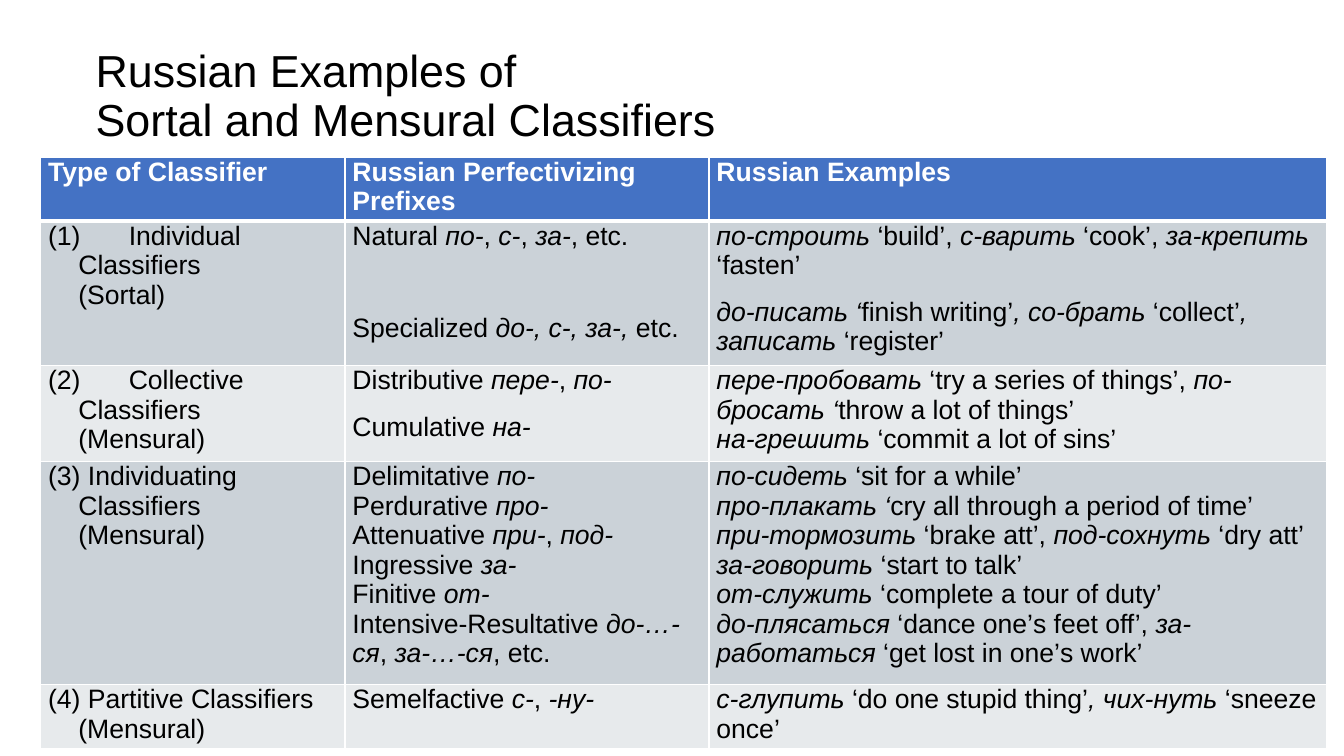
import pptx
import pptx.util
import pptx.dml.color
import pptx.enum.text
import pptx.oxml
import pptx.oxml.ns

Pt = pptx.util.Pt

HEADINGS = ["Type of Classifier", "Russian Perfectivizing Prefixes", "Russian Examples"]
CLASSIFIERS = [
    (["(1)\tIndividual Classifiers", "\t(Sortal)"],
     ["Natural *по-*, *с-*, *за-*, etc.", "Specialized *до-, с-, за-, *etc."],
     ["*по-строить *‘build’, *с-варить *‘cook’, *за-крепить* ‘fasten’",
      "*до-писать ‘*finish writing’*, со-брать *‘collect’*, записать *‘register’"]),
    (["(2)\tCollective Classifiers", "\t(Mensural)"],
     ["Distributive *пере-*, *по-*", "Cumulative *на-*"],
     ["*пере-пробовать *‘try a series of things’, *по-бросать ‘*throw a lot of things’\n"
      "*на-грешить *‘commit a lot of sins’"]),
    (["(3) Individuating Classifiers", "\t(Mensural)"],
     ["Delimitative *по-*\nPerdurative *про-*\nAttenuative *при-*, *под-*\n"
      "Ingressive *за-*\nFinitive *oт-*\n"
      "Intensive-Resultative *до-…-ся*, *за-…-ся*, etc."],
     ["*по-сидеть *‘sit for a while’ \n"
      "*про-плакать ‘*cry all through a period of time’\n"
      "*при-тормозить *‘brake att’, *под-сохнуть *‘dry att’\n"
      "*за-говорить *‘start to talk’ \n"
      "*от-служить *‘complete a tour of duty’\n"
      "*до-плясаться *‘dance one’s feet off’, *за-работаться *‘get lost in one’s work’"]),
    (["(4) Partitive Classifiers", "\t(Mensural)"],
     ["Semelfactive *с-*, *-ну-*"],
     ["*с-глупить *‘do one stupid thing’*, чих-нуть *‘sneeze once’"]),
]
COLUMN_WIDTHS = [217.4, 260, 441.4]
ROW_HEIGHTS = [42.6, 96.6, 63.5, 148, 42.5]
BANDS = ["CBD2D8", "E7EAEC"]


def colour(code):
    return pptx.dml.color.RGBColor.from_string(code)


def write(para, text, size=19, ink="000000", bold=False, before=0, after=0, hanging=0):
    para.space_before, para.space_after = Pt(before), Pt(after)
    if hanging:
        properties = para._p.get_or_add_pPr()
        properties.set("marL", str(Pt(hanging)))
        properties.set("indent", str(-Pt(hanging)))
    for number, line in enumerate(text.split("\n")):
        if number:
            para.add_line_break()
        for position, piece in enumerate(line.split("*")):
            if not piece:
                continue
            span = para.add_run()
            span.text = piece
            span.font.name = "Arial"
            span.font.size = Pt(size)
            span.font.bold = bold
            span.font.italic = position % 2 == 1
            span.font.color.rgb = colour(ink)


def add_title(page, text):
    box = page.shapes.add_textbox(Pt(61.2), Pt(26.6), Pt(788.4), Pt(86.4))
    box.text_frame.word_wrap = True
    box.text_frame.vertical_anchor = pptx.enum.text.MSO_ANCHOR.MIDDLE
    para = box.text_frame.paragraphs[0]
    para.line_spacing = 0.9
    write(para, text, size=32)


def set_borders(cell, top=1, bottom=1):
    properties = cell._tc.get_or_add_tcPr()
    for side, width in (("L", 1), ("R", 1), ("T", top), ("B", bottom)):
        properties.append(pptx.oxml.parse_xml(
            f'<a:ln{side} {pptx.oxml.ns.nsdecls("a")} w="{Pt(width)}">'
            f'<a:solidFill><a:srgbClr val="FFFFFF"/></a:solidFill></a:ln{side}>'))


def fill_cell(cell, fill, top=1, bottom=1):
    cell.margin_left = cell.margin_right = Pt(5.4)
    cell.margin_top = cell.margin_bottom = 0
    set_borders(cell, top, bottom)
    cell.fill.solid()
    cell.fill.fore_color.rgb = colour(fill)


def write_cell(cell, texts, formats):
    frame = cell.text_frame
    for number, text in enumerate(texts):
        para = frame.add_paragraph() if number else frame.paragraphs[0]
        write(para, text, **formats[number])


def add_classifier_table(page):
    table = page.shapes.add_table(
        len(ROW_HEIGHTS), len(COLUMN_WIDTHS), Pt(29), Pt(112.4),
        Pt(sum(COLUMN_WIDTHS)), Pt(sum(ROW_HEIGHTS))).table
    for column, width in zip(table.columns, COLUMN_WIDTHS):
        column.width = Pt(width)
    for row, height in zip(table.rows, ROW_HEIGHTS):
        row.height = Pt(height)

    for column, heading in enumerate(HEADINGS):
        cell = table.cell(0, column)
        fill_cell(cell, "4472C4", bottom=3)
        write_cell(cell, [heading], [dict(ink="FFFFFF", bold=True, before=6, after=6)])

    spaced = dict(before=6, after=6)
    label_formats = [dict(before=6, hanging=21.6), dict(hanging=21.6)]
    for row, contents in enumerate(CLASSIFIERS, 1):
        for column, texts in enumerate(contents):
            cell = table.cell(row, column)
            fill_cell(cell, BANDS[(row - 1) % 2], top=3 if row == 1 else 1)
            formats = [spaced, spaced] if column else label_formats
            if (row, column) == (1, 1):
                formats = [spaced, dict(before=39, after=6)]
            write_cell(cell, texts, formats)


def main():
    deck = pptx.Presentation()
    deck.slide_width, deck.slide_height = Pt(960), Pt(540)
    page = deck.slides.add_slide(deck.slide_layouts[6])
    add_title(page, "Russian Examples of \nSortal and Mensural Classifiers")
    add_classifier_table(page)
    deck.save("out.pptx")


if __name__ == "__main__":
    main()
